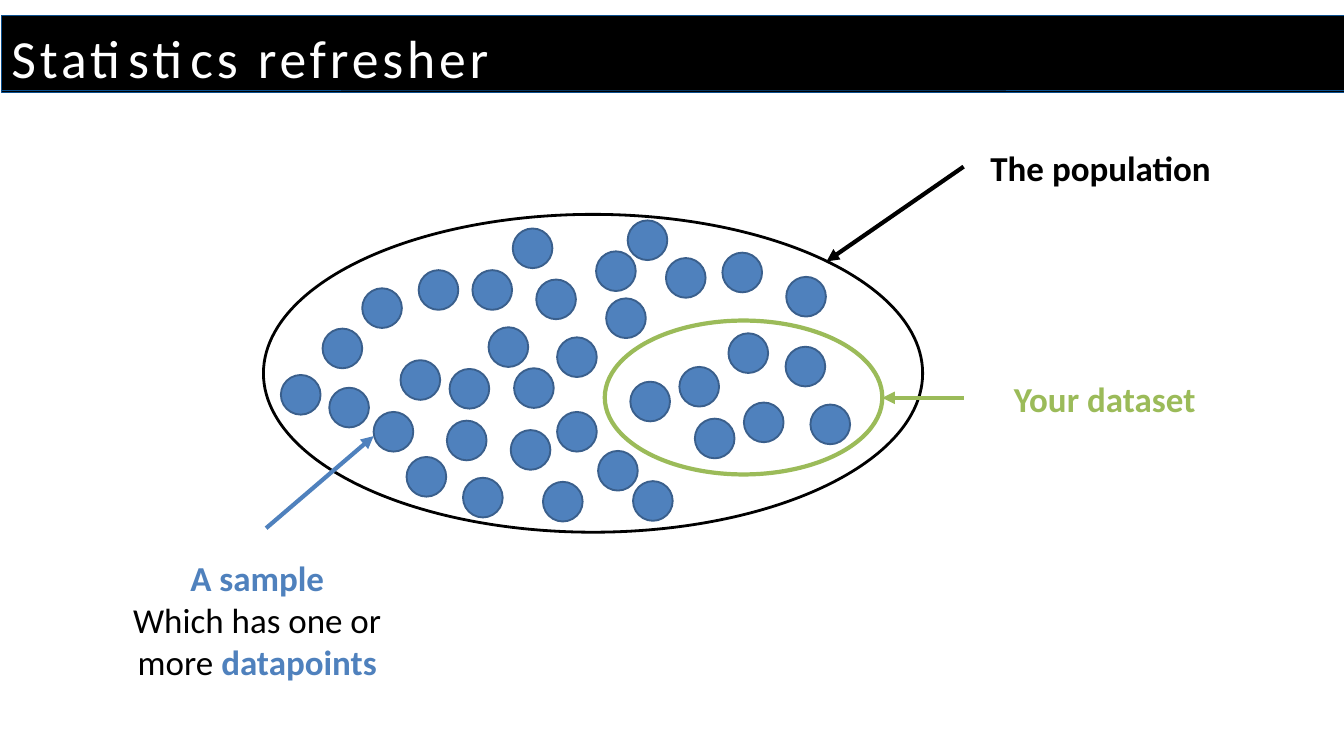
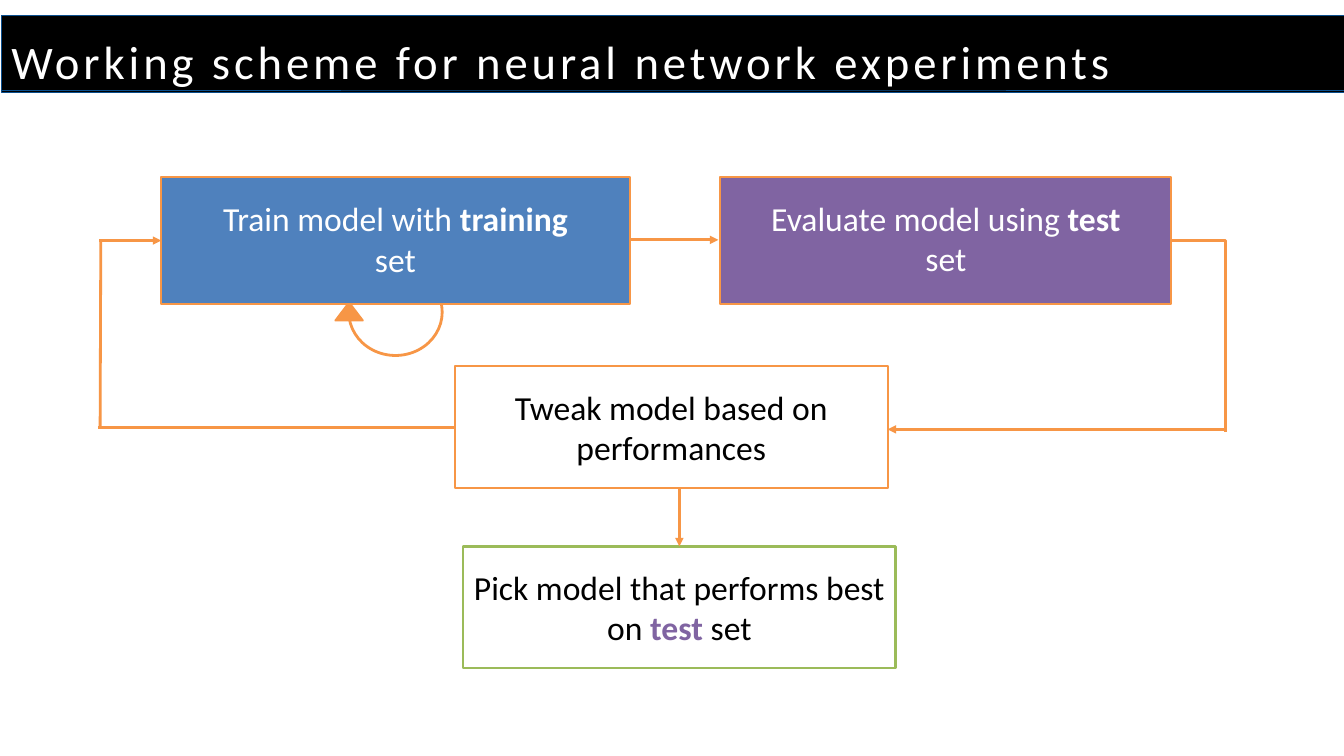
"""Build two slides on statistics and neural network experiments."""
from lxml import etree
from pptx import Presentation
from pptx.dml.color import RGBColor
from pptx.enum.shapes import MSO_CONNECTOR, MSO_SHAPE
from pptx.enum.text import MSO_ANCHOR, MSO_AUTO_SIZE, PP_ALIGN
from pptx.oxml.ns import qn
from pptx.util import Pt

EMU_PER_PX = 9144
SLIDE_SIZE = (2000, 1125)
FONT = "Calibri"
COLORS = {
    "black": "000000", "white": "FFFFFF", "blue": "4F81BD", "dot_edge": "3A5F8C",
    "green": "9BBB59", "purple": "8064A2", "orange": "F79646", "band_edge": "0B4F8E",
}

BANDS = [(2, 23, 2000, 114), (2, 23, 2000, 111)]
TITLE_LEFT_TOP = (17, 29)
TITLE_HEIGHT = 95

STATISTICS_TITLE = {"text": "Statistics refresher", "size": 57.5, "width": 1892}
POPULATION = (392, 319, 981, 473)
DATASET = (900, 477, 413, 229)
DOT_SIZE = 59
SAMPLES = [
    (623, 402), (703, 402), (798, 416), (596, 536), (727, 487), (829, 502),
    (887, 374), (902, 444), (1084, 496), (763, 340), (938, 568), (1011, 546),
    (1075, 376), (1107, 599), (991, 384), (890, 671), (808, 717), (418, 558),
    (942, 716), (480, 489), (1169, 516), (490, 577), (539, 429), (556, 613),
    (665, 626), (760, 640), (605, 680), (765, 548), (689, 711), (829, 613),
    (669, 549), (1170, 412), (934, 328), (1206, 602), (1034, 623),
]
LABELS = [
    ((1434, 194, 420, 109), [[("The population ", "black", True)]], (10, 5, 10, 5)),
    ((1434, 538, 420, 109), [[("Your dataset", "green", True)]], (10, 5, 10, 5)),
    ((173, 844, 420, 220), [
        [("A sample", "blue", True)],
        [("Which has one or more ", "black", False), ("datapoints", "blue", True)],
    ], (10, 5, 10, 69)),
]
POINTERS = [
    ((1434, 592), (1313, 592), "green"),
    ((1434, 248), (1230, 389), "black"),
    ((396, 786), (556, 649), "blue"),
]

SCHEME_TITLE = {"text": "Working scheme for neural network experiments", "size": 50, "width": 2075}
RETRAIN_LOOP = (519, 400, 139, 129)
RETRAIN_HEAD = (499, 450, 41, 27)
STEPS = [
    {"box": (240, 264, 698, 188), "fill": "blue", "edge": "orange", "weight": 2.25,
     "insets": (81, 31, 82, 5),
     "text": [("Train model with ", "white", False), ("training", "white", True),
              (" set", "white", False)]},
    {"box": (1071, 264, 671, 188), "fill": "purple", "edge": "orange", "weight": 2.25,
     "insets": (69, 30, 67, 5),
     "text": [("Evaluate model using ", "white", False), ("test", "white", True),
              (" set", "white", False)]},
    {"box": (677, 545, 644, 181), "fill": "white", "edge": "orange", "weight": 2.25,
     "insets": (10, 30, 10, 30),
     "text": [("Tweak model based on performances", "black", False)]},
    {"box": (689, 813, 644, 181), "fill": "white", "edge": "green", "weight": 3,
     "insets": (10, 30, 10, 30),
     "text": [("Pick model that performs best on ", "black", False),
              ("test ", "purple", True), ("set", "black", False)]},
]
FLOWS = [
    ((938, 357), (1069, 357), True),
    ((1826, 639), (1321, 639), True),
    ((148, 358), (240, 358), True),
    ((150, 357), (149, 636), False),
    ((677, 636), (146, 636), False),
    ((1011, 726), (1011, 813), True),
]
EVALUATE_TO_TWEAK = ((1743, 358), (1824, 643))


def emu(*lengths):
    """Turn px lengths into EMU."""
    return [length * EMU_PER_PX for length in lengths]


def rgb(name):
    """Look up a named colour."""
    return RGBColor.from_string(COLORS[name])


def write(shape, paragraphs, *, size, align=PP_ALIGN.CENTER, anchor=MSO_ANCHOR.TOP,
          insets=(0, 0, 0, 0), line_spacing=None, tracking=None):
    """Fill a shape with paragraphs of (text, colour, bold) runs."""
    frame = shape.text_frame
    frame.word_wrap = True
    frame.auto_size = MSO_AUTO_SIZE.NONE
    frame.vertical_anchor = anchor
    frame.margin_left, frame.margin_top, frame.margin_right, frame.margin_bottom = emu(*insets)
    for index, runs in enumerate(paragraphs):
        paragraph = frame.add_paragraph() if index else frame.paragraphs[0]
        paragraph.alignment = align
        if line_spacing:
            paragraph.line_spacing = Pt(line_spacing)
        for text, color, bold in runs:
            run = paragraph.add_run()
            run.text = text
            run.font.name = FONT
            run.font.size = Pt(size)
            run.font.bold = bold
            run.font.color.rgb = rgb(color)
            if tracking:
                run.font._element.set("spc", str(round(tracking * 100)))


def draw(slide, preset, box, edge, weight, fill=None):
    """Add a preset shape with a flat outline and optional fill."""
    shape = slide.shapes.add_shape(preset, *emu(*box))
    shape.shadow.inherit = False
    if fill:
        shape.fill.solid()
        shape.fill.fore_color.rgb = rgb(fill)
    else:
        shape.fill.background()
    shape.line.color.rgb = rgb(edge)
    shape.line.width = Pt(weight)
    return shape


def connect(slide, start, end, color, weight, arrow=True, bent=False):
    """Add a straight or one-corner connector, with an optional arrowhead."""
    kind = MSO_CONNECTOR.ELBOW if bent else MSO_CONNECTOR.STRAIGHT
    connector = slide.shapes.add_connector(kind, *emu(*start, *end))
    connector.line.color.rgb = rgb(color)
    connector.line.width = Pt(weight)
    properties = connector._element.spPr
    if bent:
        properties.find(qn("a:prstGeom")).set("prst", "bentConnector2")
    if arrow:
        etree.SubElement(properties.find(qn("a:ln")), qn("a:tailEnd"), type="triangle")
    etree.SubElement(properties, qn("a:effectLst"))


def add_titled_slide(deck, heading):
    """Add a slide with the black band and its title."""
    slide = deck.slides.add_slide(deck.slide_layouts[5])
    for band in BANDS:
        draw(slide, MSO_SHAPE.RECTANGLE, band, "band_edge", 0.75, fill="black")
    title = slide.shapes.title
    title.left, title.top, title.width, title.height = emu(
        *TITLE_LEFT_TOP, heading["width"], TITLE_HEIGHT)
    write(title, [[(heading["text"], "white", False)]], size=heading["size"],
          align=PP_ALIGN.LEFT, line_spacing=74.8, tracking=4.2)
    slide.shapes._spTree.append(title._element)
    return slide


def build_statistics(deck):
    """Build the population and dataset diagram."""
    slide = add_titled_slide(deck, STATISTICS_TITLE)
    draw(slide, MSO_SHAPE.OVAL, POPULATION, "black", 3)
    draw(slide, MSO_SHAPE.OVAL, DATASET, "green", 4.5)
    for left, top in SAMPLES:
        draw(slide, MSO_SHAPE.OVAL, (left, top, DOT_SIZE, DOT_SIZE), "dot_edge", 2, fill="blue")
    for box, paragraphs, insets in LABELS:
        label = slide.shapes.add_textbox(*emu(*box))
        write(label, paragraphs, size=37.5, anchor=MSO_ANCHOR.MIDDLE, insets=insets)
    for start, end, color in POINTERS:
        connect(slide, start, end, color, 4.5)


def build_scheme(deck):
    """Build the train, evaluate, tweak and pick flow."""
    slide = add_titled_slide(deck, SCHEME_TITLE)
    draw(slide, MSO_SHAPE.OVAL, RETRAIN_LOOP, "orange", 3, fill="white")
    draw(slide, MSO_SHAPE.ISOSCELES_TRIANGLE, RETRAIN_HEAD, "orange", 2, fill="orange")
    for step in STEPS:
        box = draw(slide, MSO_SHAPE.RECTANGLE, step["box"], step["edge"], step["weight"],
                   fill=step["fill"])
        write(box, [step["text"]], size=36, insets=step["insets"])
    for start, end, arrow in FLOWS:
        connect(slide, start, end, "orange", 3, arrow=arrow)
    connect(slide, *EVALUATE_TO_TWEAK, "orange", 3, arrow=False, bent=True)


def main():
    """Build and save the deck."""
    deck = Presentation()
    deck.slide_width, deck.slide_height = emu(*SLIDE_SIZE)
    build_statistics(deck)
    build_scheme(deck)
    deck.save("out.pptx")


if __name__ == "__main__":
    main()
